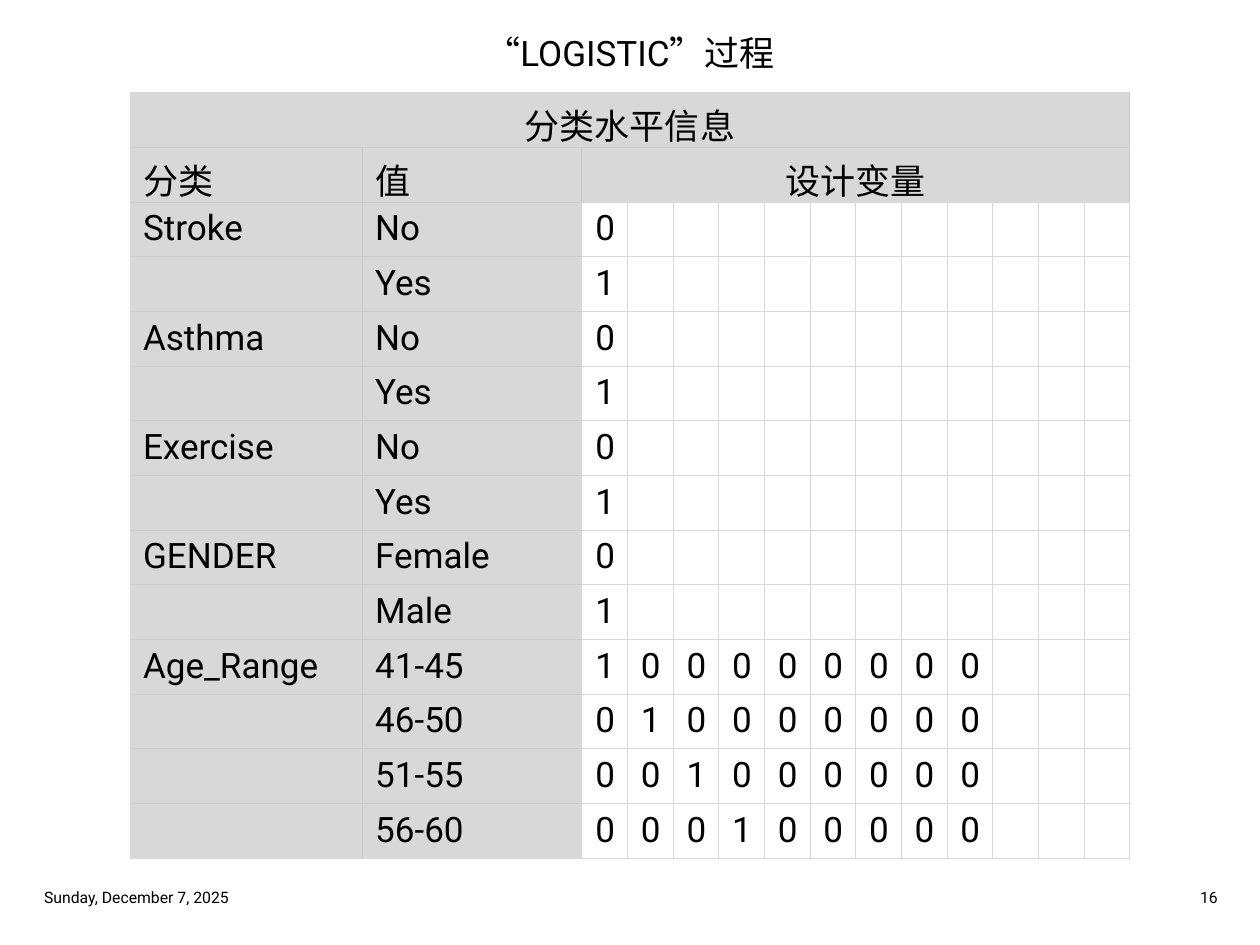
from lxml.etree import SubElement
from pptx import Presentation
from pptx.dml.color import RGBColor
from pptx.enum.text import MSO_ANCHOR, PP_ALIGN
from pptx.oxml.ns import qn
from pptx.util import Cm, Pt

BLACK = RGBColor(0x00, 0x00, 0x00)
HEADER_GREY = RGBColor(0xD8, 0xD8, 0xD8)
HEADER_RULE = RGBColor(0xCC, 0xCC, 0xCC)
FONT = "Roboto"

LEVELS = [
    ("Stroke", "No", "0"),
    ("", "Yes", "1"),
    ("Asthma", "No", "0"),
    ("", "Yes", "1"),
    ("Exercise", "No", "0"),
    ("", "Yes", "1"),
    ("GENDER", "Female", "0"),
    ("", "Male", "1"),
    ("Age_Range", "41-45", "100000000"),
    ("", "46-50", "010000000"),
    ("", "51-55", "001000000"),
    ("", "56-60", "000100000"),
]
DESIGN_COLUMNS = 12
COLUMN_WIDTHS = [4.68, 4.42] + [0.92] * DESIGN_COLUMNS
ROW_HEIGHT = 1.06


def write(frame, text, size, align):
    frame.text = text
    paragraph = frame.paragraphs[0]
    paragraph.alignment = align
    paragraph.font.size = Pt(size)
    for run in paragraph.runs:
        run.font.name = FONT
        run.font.size = Pt(size)
        run.font.color.rgb = BLACK


def add_border(cell, side, color):
    line = SubElement(cell._tc.get_or_add_tcPr(), qn(f"a:ln{side}"), w=str(Pt(0.5)))
    SubElement(SubElement(line, qn("a:solidFill")), qn("a:srgbClr"), val=str(color))


presentation = Presentation()
presentation.slide_width = Cm(25.4)
presentation.slide_height = Cm(19.05)
slide = presentation.slides.add_slide(presentation.slide_layouts[6])

title = slide.shapes.add_textbox(Cm(0.64), Cm(0.64), Cm(24.13), Cm(1.07)).text_frame
title.word_wrap = True
title.margin_top = title.margin_bottom = 0
write(title, "“LOGISTIC”过程", 20, PP_ALIGN.CENTER)

rows = [["分类水平信息"], ["分类", "值", "设计变量"]]
rows += [[variable, value, *codes] for variable, value, codes in LEVELS]
level_table = slide.shapes.add_table(
    len(rows), len(COLUMN_WIDTHS), Cm(2.63), Cm(1.87),
    Cm(sum(COLUMN_WIDTHS)), Cm(ROW_HEIGHT * len(rows)),
).table
level_table.first_row = False
level_table.horz_banding = False
for column, width in zip(level_table.columns, COLUMN_WIDTHS):
    column.width = Cm(width)

last_row = len(rows) - 1
last_column = len(COLUMN_WIDTHS) - 1
for r, texts in enumerate(rows):
    level_table.rows[r].height = Cm(ROW_HEIGHT)
    for c in range(len(COLUMN_WIDTHS)):
        cell = level_table.cell(r, c)
        is_header = r < 2 or c < 2
        outer_sides = {"L": c == 0, "R": False, "T": r == 0, "B": r == last_row}
        for side, is_outer in outer_sides.items():
            rule = HEADER_RULE if is_header and not is_outer else HEADER_GREY
            add_border(cell, side, rule)
        if is_header:
            cell.fill.solid()
            cell.fill.fore_color.rgb = HEADER_GREY
        else:
            cell.fill.background()
            cell.margin_left = Cm(0.1)
        cell.vertical_anchor = MSO_ANCHOR.BOTTOM if r < 2 else MSO_ANCHOR.TOP
        if r == 0 or (r == 1 and c == 2):
            align = PP_ALIGN.CENTER
        else:
            align = PP_ALIGN.LEFT if c < 2 else PP_ALIGN.RIGHT
        write(cell.text_frame, texts[c] if c < len(texts) else "", 20, align)

level_table.cell(0, 0).merge(level_table.cell(0, last_column))
level_table.cell(1, 2).merge(level_table.cell(1, last_column))

for left, text, align in [
    (0.64, "Sunday, December 7, 2025", PP_ALIGN.LEFT),
    (18.75, "16", PP_ALIGN.RIGHT),
]:
    footer = slide.shapes.add_textbox(Cm(left), Cm(17.75), Cm(6.05), Cm(0.66)).text_frame
    footer.word_wrap = True
    footer.vertical_anchor = MSO_ANCHOR.MIDDLE
    write(footer, text, 9, align)

presentation.save("out.pptx")
